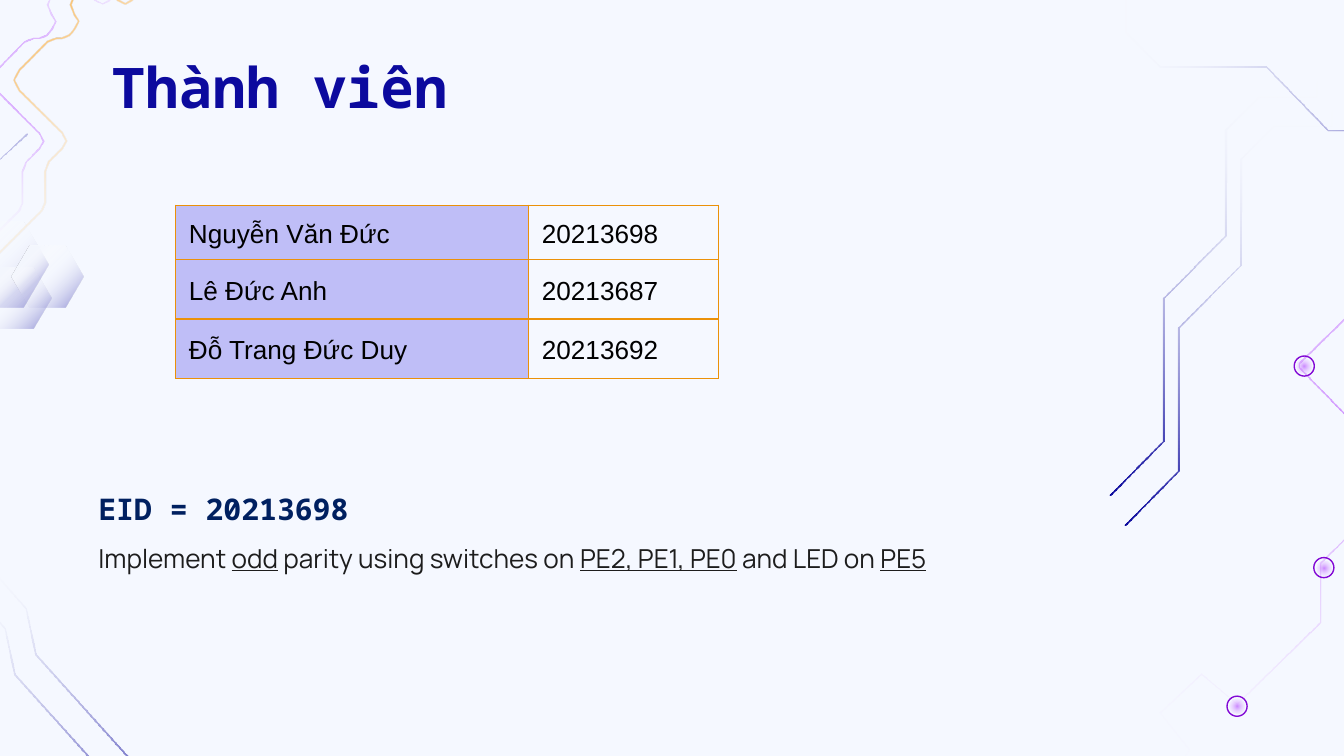
"""Build the members slide: a title, a table of names and IDs, a task and circuit traces."""
from math import hypot
from lxml.etree import SubElement
from pptx import Presentation
from pptx.dml.color import RGBColor
from pptx.enum.shapes import MSO_SHAPE as Shape
from pptx.enum.text import MSO_ANCHOR as Anchor
from pptx.oxml import parse_xml
from pptx.oxml.ns import nsdecls, qn
from pptx.util import Cm, Pt

color = RGBColor.from_string
NAVY, PURPLE, ORANGE, PAPER = "0C0A9E", "9900FF", "EB9109", "F5F8FF"
MONO = "Noto Sans Mono"
CLEAR = (100, "FFFFFF", 0)
NAVY_FADE = [(0, NAVY, 100), CLEAR]
PURPLE_FADE = [(0, PURPLE, 47), CLEAR]
ORANGE_FADE = [(0, ORANGE, 100), (40, "FF9900", 41), CLEAR]


def fill_gradient(shape, stops, angle=None):
    """Fill with (position, colour, opacity) stops, radial when there is no angle."""
    shape.shadow.inherit = False
    shape.line.fill.background()
    marks = "".join(
        f'<a:gs pos="{position * 1000}"><a:srgbClr val="{value}">'
        f'<a:alpha val="{opacity * 1000}"/></a:srgbClr></a:gs>'
        for position, value, opacity in stops)
    course = (f'<a:lin ang="{angle * 60000}" scaled="0"/>' if angle is not None else
              '<a:path path="circle"><a:fillToRect l="50000" t="50000" r="50000" b="50000"/></a:path>')
    gradient = parse_xml(f'<a:gradFill {nsdecls("a")} rotWithShape="1">'
                         f'<a:gsLst>{marks}</a:gsLst>{course}</a:gradFill>')
    shape._element.spPr.find(qn("a:ln")).addprevious(gradient)


def draw_trace(points, stops, angle=None, shift=(0, 0)):
    """Draw a thin ribbon of even width along the points."""
    thickness = 0.035
    moved = [(x + shift[0], y + shift[1]) for x, y in points]
    edge = []
    for before, (x, y), after in zip(moved[:1] + moved, moved, moved[1:] + moved[-1:]):
        run, rise = after[0] - before[0], after[1] - before[1]
        scale = thickness / hypot(run, rise)
        edge.append((x - rise * scale, y + run * scale))
    outline = [(Cm(x), Cm(y)) for x, y in moved + edge[::-1]]
    builder = slide.shapes.build_freeform(*outline[0])
    builder.add_line_segments(outline[1:], close=True)
    fill_gradient(builder.convert_to_shape(), stops, angle)


presentation = Presentation()
presentation.slide_width, presentation.slide_height = Cm(25.4), Cm(14.29)
slide = presentation.slides.add_slide(presentation.slide_layouts[6])
slide.background.fill.solid()
slide.background.fill.fore_color.rgb = color(PAPER)

tall = [(21.25, 9.9), (22.26, 8.88), (22.26, 6.19), (23.43, 5.01), (23.43, 3.01), (24.06, 2.38),
        (25.15, 2.38), (25.15, 2.06)]
for shift in [(0, 0), (-0.28, -0.55)]:
    draw_trace(tall, NAVY_FADE, 270, shift)
draw_trace([(20.96, -0.46), (21.29, -0.46), (21.29, 0.61), (21.92, 1.24), (23.93, 1.24),
            (25.1, 2.44), (27.79, 2.44), (28.8, 3.45)], NAVY_FADE, 180)
draw_trace([(30.66, 0.76), (29.11, 2.31), (29.11, 2.44), (29.92, 3.2), (29.92, 3.28), (27.2, 5.97),
            (26.3, 5.18), (24.56, 6.88), (24.56, 6.93), (26.6, 9.02), (24.97, 10.64),
            (24.97, 11.76), (23.39, 13.31), (22.71, 12.74), (21.95, 13.46), (22.5, 14.15),
            (22.28, 14.5), (22.5, 14.9)], PURPLE_FADE)

corner = [(-0.38, 10.49), (0.51, 11.51), (0.69, 12.37), (2.77, 14.68), (3, 15.85)]
for shift in [(0, 0), (-0.4, 0.37)]:
    draw_trace(corner, NAVY_FADE, 270, shift)

for x, y in [(23.38, 13.35), (25.02, 10.73), (24.65, 6.92)]:
    ring = slide.shapes.add_shape(Shape.OVAL, Cm(x - 0.19), Cm(y - 0.19), Cm(0.38), Cm(0.38))
    ring.shadow.inherit = False
    ring.fill.background()
    ring.line.color.rgb = color("8208D5")
    ring.line.width = Pt(0.75)
    glow = slide.shapes.add_shape(Shape.OVAL, Cm(x - 0.14), Cm(y - 0.14), Cm(0.28), Cm(0.28))
    fill_gradient(glow, PURPLE_FADE)

for left, top, width, height in [(-0.97, 4.19, 1.88, 1.63), (-0.38, 5.05, 1.35, 1.17),
                                 (0.23, 4.65, 1.35, 1.17)]:
    hexagon = slide.shapes.add_shape(Shape.HEXAGON, Cm(left), Cm(top), Cm(width), Cm(height))
    hexagon.adjustments[0] = 0.29
    fill_gradient(hexagon, [(0, PAPER, 100), (22, PAPER, 100), (45, "FFFFFF", 0), (100, NAVY, 50)], 45)

winding = [(1.45, -1.57), (2.64, -0.38), (2.69, -0.25), (2.64, -0.1), (2.49, 0.03), (2.36, 0.1),
           (2.21, 0.03), (1.93, -0.23), (1.75, -0.3), (1.57, -0.23), (1.42, -0.08), (1.35, 0.1),
           (1.42, 0.28), (1.5, 0.41), (1.42, 0.57), (1.32, 0.69), (1.17, 0.75), (1.07, 0.75),
           (0.91, 0.81), (0.38, 1.35), (0.29, 1.52), (0.38, 1.7), (1.19, 2.51), (1.27, 2.67),
           (1.19, 2.82), (0.94, 3.07), (0.87, 3.25), (0.87, 3.84), (0.81, 3.99), (0, 4.8)]
draw_trace(winding, ORANGE_FADE, 45)
draw_trace(winding, PURPLE_FADE, shift=(-0.43, 0))
draw_trace([(-0.84, 0.48), (-0.84, 1.8), (-0.28, 1.8), (-0.28, 3.25), (0.5, 2.5)],
           [(0, NAVY, 37), CLEAR], 225)

title_runs = [("Thành viên", False)]
task_runs = [("Implement ", False), ("odd", True), (" parity using switches on ", False),
             ("PE2, PE1, PE0", True), (" and LED on ", False), ("PE5", True)]
boxes = [
    (1.86, 0.74, 1.6, [(title_runs, 30, MONO, NAVY, True, 1.0)]),
    (1.61, 8.69, 2.74, [([("EID = 20213698", False)], 16, MONO, "002060", True, 1.5),
                        (task_runs, 14, "Manrope", "1D1D1D", False, 1.5)]),
]
for left, top, height, lines in boxes:
    frame = slide.shapes.add_textbox(Cm(left), Cm(top), Cm(21.41), Cm(height)).text_frame
    frame.word_wrap = True
    frame.margin_left = frame.margin_right = frame.margin_top = frame.margin_bottom = Cm(0.25)
    for index, (runs, size, name, value, bold, spacing) in enumerate(lines):
        paragraph = frame.add_paragraph() if index else frame.paragraphs[0]
        paragraph.line_spacing = spacing
        font = paragraph.font
        font.size, font.name, font.bold = Pt(size), name, bold
        font.color.rgb = color(value)
        for text, underlined in runs:
            run = paragraph.add_run()
            run.text = text
            if underlined:
                run.font.underline = True

members = [("Nguyễn Văn Đức", "20213698"), ("Lê Đức Anh", "20213687"), ("Đỗ Trang Đức Duy", "20213692")]
table = slide.shapes.add_table(3, 2, Cm(3.32), Cm(3.88), Cm(10.26), Cm(3.27)).table
table.first_row = table.horz_banding = False
for column, width in zip(table.columns, [6.67, 3.59]):
    column.width = Cm(width)
for row, height, member in zip(table.rows, [1.02, 1.13, 1.12], members):
    row.height = Cm(height)
    for cell, text, value in zip(row.cells, member, ["BFBEF7", PAPER]):
        cell.text = text
        cell.vertical_anchor = Anchor.MIDDLE
        cell.margin_left = cell.margin_right = Cm(0.25)
        cell.margin_top = cell.margin_bottom = 0
        paragraph = cell.text_frame.paragraphs[0]
        paragraph.line_spacing = 1.15
        paragraph.font.size, paragraph.font.name = Pt(14), "Arial"
        paragraph.font.color.rgb = color("000000")
        properties = cell._tc.get_or_add_tcPr()
        for side in ["lnL", "lnR", "lnT", "lnB"]:
            border = SubElement(properties, qn(f"a:{side}"), w=str(Pt(0.75)), cmpd="sng")
            SubElement(SubElement(border, qn("a:solidFill")), qn("a:srgbClr"), val=ORANGE)
            SubElement(border, qn("a:prstDash"), val="solid")
        cell.fill.solid()
        cell.fill.fore_color.rgb = color(value)

presentation.save("out.pptx")
